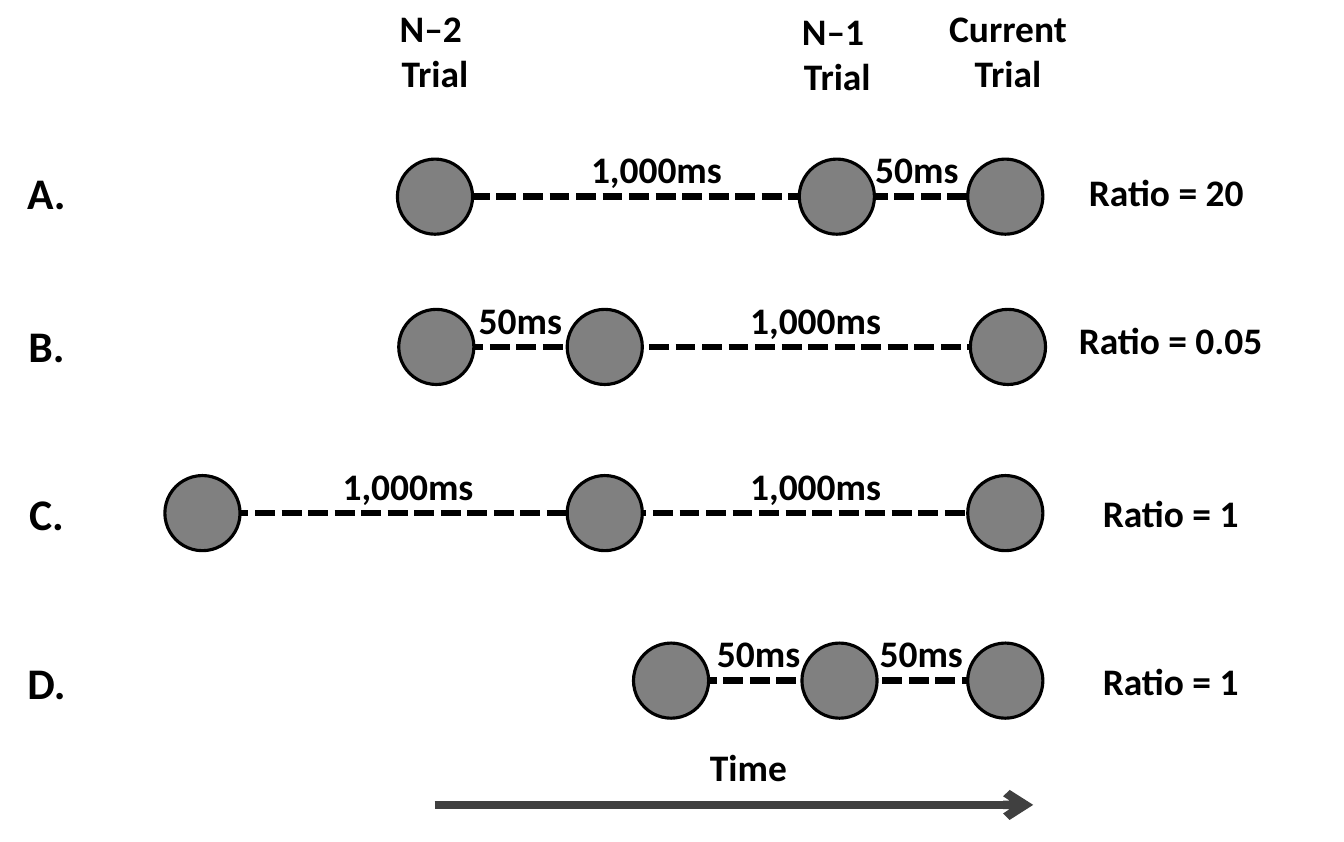
from dataclasses import dataclass

from lxml import etree
from pptx import Presentation
from pptx.dml.color import RGBColor
from pptx.enum.dml import MSO_LINE
from pptx.enum.shapes import MSO_CONNECTOR, MSO_SHAPE
from pptx.enum.text import MSO_AUTO_SIZE, PP_ALIGN
from pptx.oxml.ns import qn
from pptx.util import Cm, Pt

BLACK = RGBColor(0x00, 0x00, 0x00)
GRAY = RGBColor(0x80, 0x80, 0x80)
DARK_GRAY = RGBColor(0x40, 0x40, 0x40)

STRAIGHT = MSO_CONNECTOR.STRAIGHT
OVAL = MSO_SHAPE.OVAL
SHORT_DASH = MSO_LINE.SQUARE_DOT
CENTER = PP_ALIGN.CENTER
FIT_SHAPE = MSO_AUTO_SIZE.SHAPE_TO_FIT_TEXT

FONT = "Calibri"
TRIAL_SIZE = 1.7
INTERVAL_RISE = 1.26  # from the timeline up to the top of its labels


@dataclass
class Sequence:
    letter: str
    letter_top: float
    line_y: float
    line_start: float
    line_end: float
    trials: tuple     # left edges of the circles
    intervals: tuple  # (label, centre)
    ratio: str
    ratio_center: float
    ratio_top: float


SEQUENCES = [
    Sequence("A.", 3.63, 4.45, 10.03, 22.96, (8.99, 18.08, 21.89),
             (("1,000ms", 14.85), ("50ms", 20.74)), "20", 26.38, 3.71),
    Sequence("B.", 7.09, 7.85, 9.88, 22.81, (9.02, 12.83, 21.95),
             (("50ms", 11.77), ("1,000ms", 18.45)), "0.05", 26.48, 7.04),
    Sequence("C.", 10.9, 11.61, 4.57, 22.96, (3.73, 12.83, 21.89),
             (("1,000ms", 9.23), ("1,000ms", 18.45)), "1", 26.48, 10.97),
    Sequence("D.", 14.71, 15.4, 15.16, 23.37, (14.33, 18.14, 21.89),
             (("50ms", 17.16), ("50ms", 20.84)), "1", 26.48, 14.76),
]

# (lines, centre, top)
HEADINGS = [
    ("N–2 \nTrial", 9.84, 0),
    ("N–1 \nTrial", 18.94, 0.05),
    ("Current\nTrial", 22.8, 0),
]


def add_text(slide, text, center, top, width=4.24, height=1.27, size=24):
    box = slide.shapes.add_textbox(
        Cm(center - width / 2), Cm(top), Cm(width), Cm(height))
    frame = box.text_frame
    frame.word_wrap = True
    frame.auto_size = FIT_SHAPE
    frame.text = text
    for paragraph in frame.paragraphs:
        paragraph.alignment = CENTER
        font = paragraph.runs[0].font
        font.name = FONT
        font.size = Pt(size)
        font.bold = True
        font.color.rgb = BLACK


def add_line(slide, start, end, y, color, width, dash=None, arrow=False):
    connector = slide.shapes.add_connector(
        STRAIGHT, Cm(start), Cm(y), Cm(end), Cm(y))
    line = connector.line
    line.color.rgb = color
    line.width = Pt(width)
    if dash is not None:
        line.dash_style = dash
    properties = connector._element.spPr
    if arrow:
        outline = properties.find(qn("a:ln"))
        etree.SubElement(outline, qn("a:tailEnd"), type="arrow")
    etree.SubElement(properties, qn("a:effectLst"))


def add_trial(slide, left, line_y):
    circle = slide.shapes.add_shape(
        OVAL, Cm(left), Cm(line_y - TRIAL_SIZE / 2),
        Cm(TRIAL_SIZE), Cm(TRIAL_SIZE))
    circle.shadow.inherit = False
    circle.fill.solid()
    circle.fill.fore_color.rgb = GRAY
    circle.line.color.rgb = BLACK
    circle.line.width = Pt(2)


def add_sequence(slide, row):
    add_line(slide, row.line_start, row.line_end, row.line_y,
             BLACK, 4.25, dash=SHORT_DASH)
    for left in row.trials:
        add_trial(slide, left, row.line_y)
    for label, center in row.intervals:
        add_text(slide, label, center, row.line_y - INTERVAL_RISE)
    add_text(slide, f"Ratio = {row.ratio}", row.ratio_center, row.ratio_top,
             width=4.9)
    add_text(slide, row.letter, 1.05, row.letter_top,
             width=2.1, height=1.45, size=28)


def main():
    presentation = Presentation()
    presentation.slide_width = Cm(30.4)
    presentation.slide_height = Cm(19.05)
    slide = presentation.slides.add_slide(presentation.slide_layouts[6])

    # Trial headings
    for text, center, top in HEADINGS:
        add_text(slide, text, center, top, height=2.31)

    # Trial sequences
    for row in SEQUENCES:
        add_sequence(slide, row)

    # Time axis
    add_line(slide, 9.83, 23.37, 18.21, DARK_GRAY, 5.5, arrow=True)
    add_text(slide, "Time", 16.93, 16.71)

    presentation.save("out.pptx")


if __name__ == "__main__":
    main()
